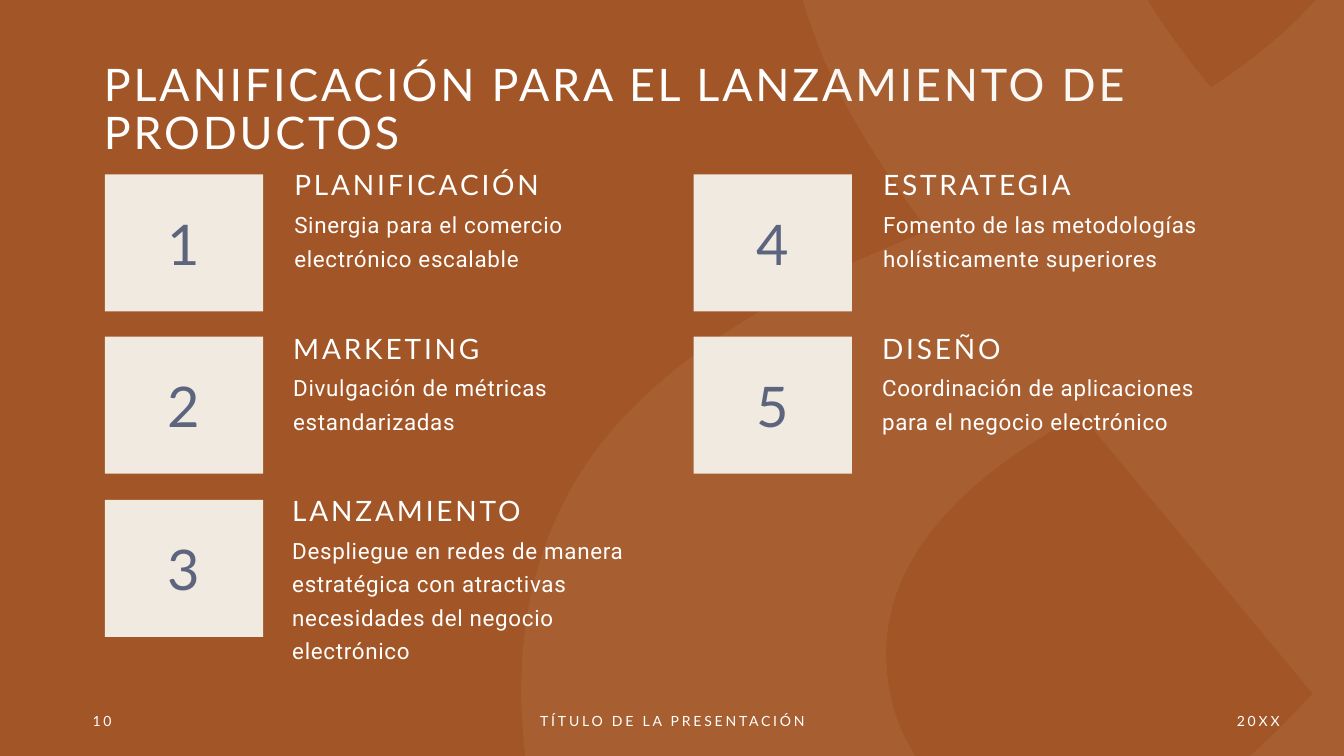
from pptx import Presentation
from pptx.util import Inches, Pt
from pptx.dml.color import RGBColor
from pptx.enum.shapes import MSO_SHAPE as Shape
from pptx.enum.text import MSO_ANCHOR as Anchor, MSO_AUTO_SIZE as Fit, PP_ALIGN as Align
from lxml import etree

HEX = {"rust": "A25526", "sand": "D6BFA5", "cream": "F1EAE1", "slate": "5D657E", "white": "FFFFFF"}
COLOR = {name: RGBColor.from_string(code) for name, code in HEX.items()}


def write(shape, text, size, font="Lato", color="white", space=2, line=1.0,
          align=Align.LEFT, anchor=Anchor.TOP):
    frame = shape.text_frame
    frame.text = text
    frame.word_wrap = True
    frame.auto_size = Fit.NONE
    frame.vertical_anchor = anchor
    para = frame.paragraphs[0]
    para.alignment = align
    para.line_spacing = line
    run = para.runs[0]
    run.font.size = Pt(size)
    run.font.name = font
    run.font.color.rgb = COLOR[color]
    run.font._element.set("spc", str(int(space * 100)))


def place(left, top, width, height):
    return Inches(left), Inches(top), Inches(width), Inches(height)


deck = Presentation()
deck.slide_width = Inches(13.33)
deck.slide_height = Inches(7.5)
slide = deck.slides.add_slide(deck.slide_layouts[5])
slide.background.fill.solid()
slide.background.fill.fore_color.rgb = COLOR["rust"]

outline = [
    (9.21, 2.29),
    (7.8, 2.84, 6.78, 3.48, 6.13, 4.2),
    (5.49, 4.92, 5.17, 5.81, 5.17, 6.86),
    (5.17, 7.08, 5.19, 7.3, 5.21, 7.5),
    (9.08, 7.5),
    (8.89, 7.21, 8.79, 6.87, 8.79, 6.48),
    (8.79, 6.04, 8.95, 5.62, 9.27, 5.23),
    (9.58, 4.84, 10.06, 4.47, 10.72, 4.11),
    (13.02, 6.88),
    (12.8, 7.12, 12.59, 7.33, 12.4, 7.5),
    (13.33, 7.5),
    (13.33, 0),
    (13.05, 0),
    (12.8, 0.29, 12.45, 0.58, 12.01, 0.87),
    (11.75, 0.55, 11.54, 0.26, 11.38, 0),
    (7.96, 0),
    (8.01, 0.15, 8.06, 0.31, 8.12, 0.46),
    (8.34, 1.02, 8.71, 1.63, 9.21, 2.29),
]
ends = [(Inches(part[-2]), Inches(part[-1])) for part in outline]
pen = slide.shapes.build_freeform(*ends[0], scale=1.0)
pen.add_line_segments(ends[1:], close=True)
swirl = pen.convert_to_shape()
swirl.shadow.inherit = False
swirl.line.fill.background()
swirl.fill.solid()
swirl.fill.fore_color.rgb = COLOR["sand"]
tint = swirl._element.spPr.find(".//{*}srgbClr")
etree.SubElement(tint, tint.tag.replace("srgbClr", "alpha")).set("val", "10000")
for part, edge in zip(outline[1:], swirl._element.spPr.findall(".//{*}lnTo")):
    if len(part) == 6:
        point = edge[0].tag
        curve = etree.Element(edge.tag.replace("lnTo", "cubicBezTo"))
        for x, y in zip(part[::2], part[1::2]):
            etree.SubElement(curve, point, x=str(Inches(x) - swirl.left),
                             y=str(Inches(y) - swirl.top))
        edge.getparent().replace(edge, curve)

title = slide.shapes.title
title.left, title.top, title.width, title.height = place(0.93, 0.57, 11.27, 0.59)
write(title, "PLANIFICACIÓN PARA EL LANZAMIENTO DE PRODUCTOS", 32, line=0.9)

cards = [
    ("PLANIFICACIÓN", "Sinergia para el comercio electrónico escalable"),
    ("MARKETING", "Divulgación de métricas estandarizadas"),
    ("LANZAMIENTO", "Despliegue en redes de manera estratégica con atractivas "
                    "necesidades del negocio electrónico"),
    ("ESTRATEGIA", "Fomento de las metodologías holísticamente superiores"),
    ("DISEÑO", "Coordinación de aplicaciones para el negocio electrónico"),
]
rows = [(1.73, 2.82, 1.68), (3.34, 2.81, 3.3), (4.96, 2.8, 4.91)]
for spot, (head, body) in enumerate(cards):
    col, row = divmod(spot, len(rows))
    top, left, high = rows[row]
    shift = 5.84 * col
    box = slide.shapes.add_shape(Shape.RECTANGLE, *place(1.04 + shift, top, 1.57, 1.36))
    box.shadow.inherit = False
    box.line.fill.background()
    box.fill.solid()
    box.fill.fore_color.rgb = COLOR["cream"]
    write(box, str(spot + 1), 40, color="slate", align=Align.CENTER, anchor=Anchor.MIDDLE)
    label = slide.shapes.add_textbox(*place(left + shift, high, 3.68, 0.4))
    write(label, head, 20, line=0.8)
    note = slide.shapes.add_textbox(*place(left + shift, high + 0.3, 3.68, 1.1))
    write(note, body, 16, font="Roboto", space=0.5, line=1.25)

for text, left, width, align in [
    ("10", 0.82, 3, Align.LEFT),
    ("TÍTULO DE LA PRESENTACIÓN", 4.42, 4.5, Align.CENTER),
    ("20XX", 9.79, 3, Align.RIGHT),
]:
    foot = slide.shapes.add_textbox(*place(left, 6.95, width, 0.4))
    write(foot, text, 10, align=align, anchor=Anchor.MIDDLE)

deck.save("out.pptx")
